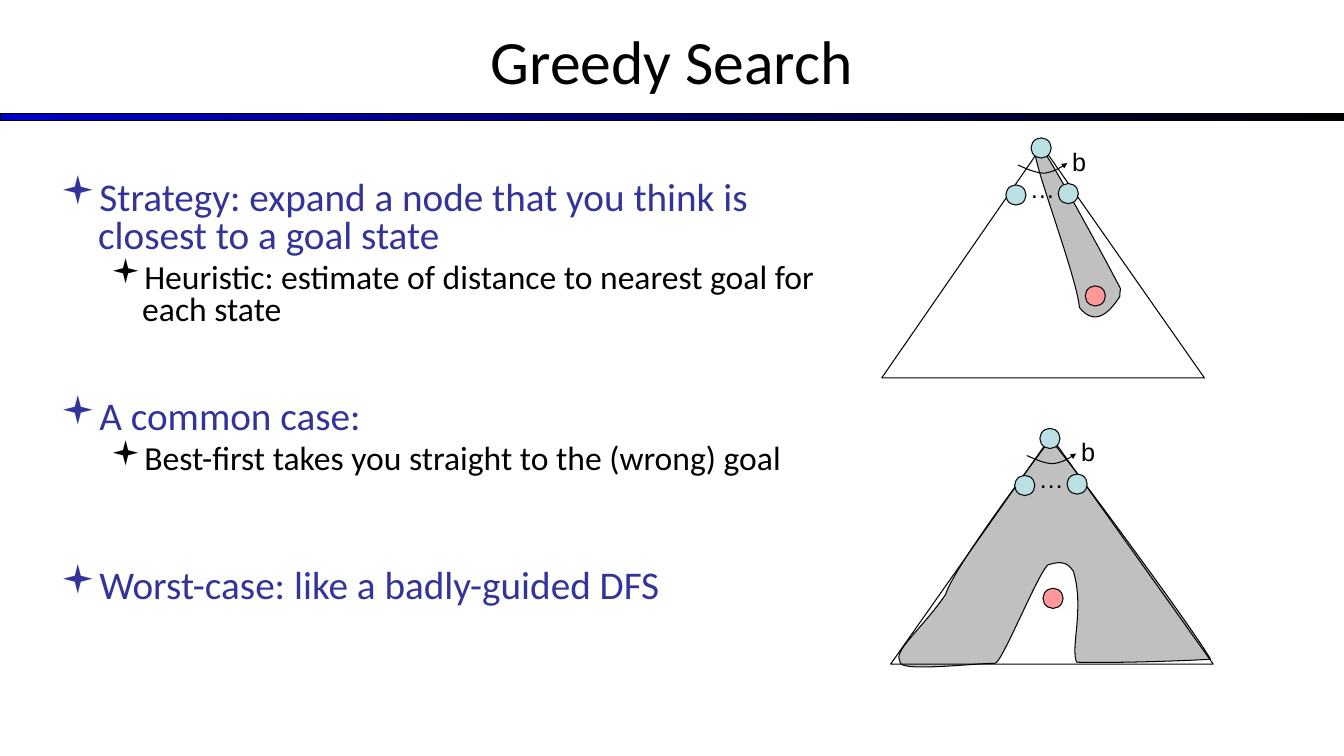
from lxml.etree import SubElement
from pptx import Presentation
from pptx.dml.color import RGBColor
from pptx.enum.shapes import MSO_SHAPE as Shape
from pptx.enum.text import MSO_ANCHOR as Anchor, PP_ALIGN as Align
from pptx.oxml.ns import qn
from pptx.util import Pt

BLACK = RGBColor(0x00, 0x00, 0x00)
BLUE = RGBColor(0x00, 0x00, 0xCC)
INDIGO = RGBColor(0x33, 0x33, 0x99)
GRAY = RGBColor(0xC0, 0xC0, 0xC0)
NODE = RGBColor(0xBB, 0xE0, 0xE3)
GOAL = RGBColor(0xFF, 0x99, 0x99)

TITLE = "Greedy Search"
# (level, space before, text)
BULLETS = [
    (0, 0, "Strategy: expand a node that you think is closest to a goal state"),
    (1, 4.8, "Heuristic: estimate of distance to nearest goal for each state"),
    (0, 52, "A common case:"),
    (1, 4.8, "Best-first takes you straight to the (wrong) goal"),
    (0, 66, "Worst-case: like a badly-guided DFS"),
]
# size, colour, left margin, hanging indent
LEVELS = [(28, INDIGO, 27, 27), (24, BLACK, 58.5, 22.5)]

# Explored regions: a start point, then cubic curves of three points each
NARROW_REGION = [
    (748.8, 113),
    (757.4, 126.7), (785.5, 177.8), (794.2, 194.4),
    (802.8, 211), (799.9, 203), (799.9, 211.7),
    (794.9, 219.6), (783.4, 235.4), (771.1, 219.6),
    (769, 198.7), (743.8, 131.8), (740.2, 113.8),
    (735.8, 95.8), (740.2, 99.4), (748.8, 113),
]
WIDE_REGION = [
    (754.6, 319),
    (774.7, 344.2), (851.8, 448.6), (864.7, 470.9),
    (854.6, 471.6), (803.5, 473.8), (769, 473),
    (764.6, 462.2), (774.7, 434.9), (766.8, 408.2),
    (763.2, 402.5), (758.9, 400.3), (749.5, 403.2),
    (744.5, 401.8), (715, 475.9), (710.6, 473.8),
    (695.5, 473.8), (643, 480.2), (643, 473),
    (637.2, 465.1), (658.1, 450), (675.4, 424.8),
    (681.1, 406.1), (733, 337), (745.9, 319.7),
    (758.9, 301.7), (753.1, 319), (754.6, 319),
]
# Root corner, triangle height, goal corner, explored region
TREES = [
    ((736.5, 98.5), 165.6, (775.2, 204.2), NARROW_REGION),
    ((742.8, 306), 162.5, (745, 420.2), WIDE_REGION),
]
# Parts of a tree, measured from the root's corner
APEX, LEFT_CORNER, RIGHT_CORNER = (7.9, 5.8), -106.6, 123.8
CHILDREN = [(-18, 33.6), (19.4, 32.6)]
BRANCH_ARC = [
    (-9.4, 19.4),
    (-2.9, 22.3), (3.6, 25.2), (9.4, 25.2),
    (15.1, 24.5), (20.9, 21.6), (25.9, 18),
]
LABELS = [("…", -7.9, 21.6, 21.6), ("b", 22.3, 2.2, 23.8)]
NODE_SIZE = 14.4


def write(paragraph, text, size=18, color=BLACK, font="Calibri", align=Align.LEFT):
    paragraph.text = text
    paragraph.alignment = align
    paragraph.font.size = Pt(size)
    paragraph.font.name = font
    paragraph.font.color.rgb = color


def finish(shape, fill=None):
    """Set fill and outline, and drop the shadow."""
    shape.shadow.inherit = False
    if fill is None:
        shape.fill.background()
    else:
        shape.fill.solid()
        shape.fill.fore_color.rgb = fill
    shape.line.color.rgb = BLACK
    shape.line.width = Pt(0.75)
    return shape


def add_outline(slide, points, fill=None, close=True):
    points = [(Pt(x), Pt(y)) for x, y in points]
    builder = slide.shapes.build_freeform(*points[0])
    builder.add_line_segments(points[1:], close=close)
    return finish(builder.convert_to_shape(), fill)


def add_curve(slide, points, fill=None, close=True):
    """Draw an outline whose points are taken three by three as cubic curves."""
    shape = add_outline(slide, points, fill, close)
    segments = list(shape._element.iter(qn("a:lnTo")))
    for i in range(0, len(points) - 1, 3):
        curve = segments[i].makeelement(qn("a:cubicBezTo"))
        segments[i].addprevious(curve)
        for segment in segments[i:i + 3]:
            curve.append(segment[0])
    for segment in segments:
        segment.getparent().remove(segment)
    return shape


def add_circle(slide, x, y, fill):
    size = Pt(NODE_SIZE)
    finish(slide.shapes.add_shape(Shape.OVAL, Pt(x), Pt(y), size, size), fill)


def add_text_frame(slide, x, y, width, height):
    frame = slide.shapes.add_textbox(Pt(x), Pt(y), Pt(width), Pt(height)).text_frame
    frame.word_wrap = True
    return frame


def add_bullets(slide):
    frame = add_text_frame(slide, 36, 126, 558, 383.8)
    for i, (level, space, text) in enumerate(BULLETS):
        size, color, margin, hanging = LEVELS[level]
        paragraph = frame.paragraphs[0] if i == 0 else frame.add_paragraph()
        paragraph.level = level
        paragraph.line_spacing = 0.8
        paragraph.space_before = Pt(space)
        properties = paragraph._p.get_or_add_pPr()
        properties.set("marL", str(Pt(margin)))
        properties.set("indent", str(-Pt(hanging)))
        bullet_font = SubElement(properties, qn("a:buFont"))
        bullet_font.set("typeface", "Wingdings")
        bullet_font.set("charset", "2")
        SubElement(properties, qn("a:buChar")).set("char", "▪")
        write(paragraph, text, size=size, color=color)


def add_tree(slide, root, height, goal, region):
    left, top = root

    def place(points):
        return [(left + x, top + y) for x, y in points]

    base = APEX[1] + height
    add_curve(slide, region, fill=GRAY)
    add_outline(slide, place([(LEFT_CORNER, base), (RIGHT_CORNER, base), APEX]))
    for x, y in place(CHILDREN):
        add_circle(slide, x, y, NODE)
    arc = add_curve(slide, place(BRANCH_ARC), close=False)
    arrowhead = SubElement(arc.line._get_or_add_ln(), qn("a:tailEnd"))
    for name, value in (("type", "triangle"), ("w", "sm"), ("len", "sm")):
        arrowhead.set(name, value)
    for text, x, y, width in LABELS:
        frame = add_text_frame(slide, left + x, top + y, width, 28.8)
        write(frame.paragraphs[0], text, font="Arial")
    add_circle(slide, *goal, GOAL)
    add_circle(slide, left, top, NODE)


def main():
    presentation = Presentation()
    presentation.slide_width, presentation.slide_height = Pt(960), Pt(540)
    slide = presentation.slides.add_slide(presentation.slide_layouts[5])

    bar = finish(slide.shapes.add_shape(Shape.RECTANGLE, 0, Pt(81.4), Pt(960), Pt(5)))
    bar.fill.gradient()
    bar.fill.gradient_angle = 0
    for stop, color in zip(bar.fill.gradient_stops, (BLUE, BLACK)):
        stop.color.rgb = color

    title = slide.shapes.title
    title.left, title.top, title.width, title.height = 0, Pt(-2), Pt(960), Pt(90)
    title.text_frame.vertical_anchor = Anchor.MIDDLE
    write(title.text_frame.paragraphs[0], TITLE, size=44, align=Align.CENTER)

    add_bullets(slide)
    for tree in TREES:
        add_tree(slide, *tree)
    presentation.save("out.pptx")


if __name__ == "__main__":
    main()
